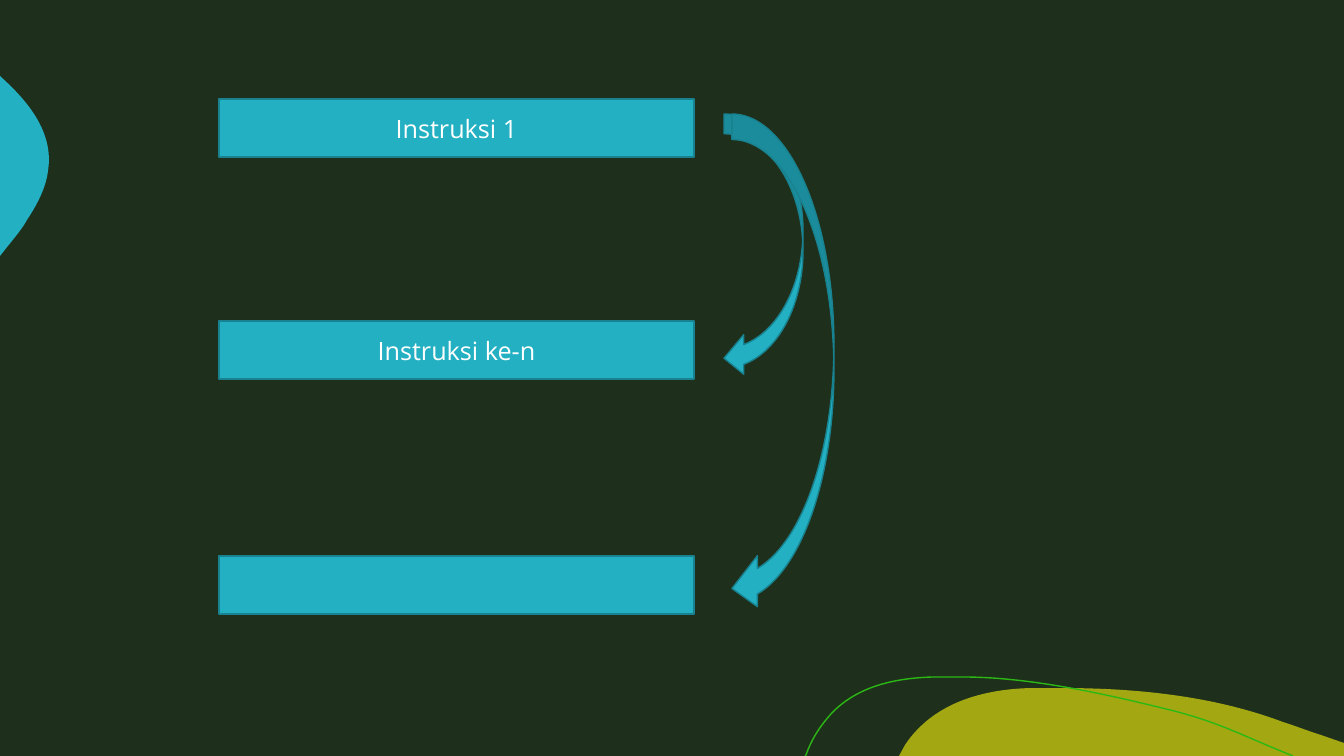
import lxml.etree
import pptx
import pptx.util
import pptx.dml.color
import pptx.enum.shapes
import pptx.enum.text
import pptx.oxml.ns

EMU_PER_PIXEL = 914400 / 100.8
FONT = "Open Sans"
COLOURS = {
    "background": "1E301B",
    "olive": "A3A712",
    "teal": "22B0C2",
    "teal_edge": "198290",
    "green": "2BB814",
    "white": "FFFFFF",
}
OLIVE_HILL = [
    (1062, 688),
    (1137, 688, 1214, 696, 1283, 722),
    (1296, 726, 1308, 731, 1321, 735),
    (1344, 743), (1344, 756), (899, 756), (905, 745),
    (909, 739, 913, 734, 918, 729),
    (947, 699, 990, 689, 1031, 688),
    (1041, 688, 1052, 688, 1062, 688),
]
TEAL_BULGE = [
    (0, 76), (1, 77),
    (30, 103, 54, 134, 48, 171),
    (46, 188, 37, 205, 27, 220),
    (24, 226, 17, 235, 8, 246),
    (0, 256),
]
GREEN_CURVE = [
    (805, 756), (806, 755),
    (812, 738, 821, 725, 831, 714),
    (857, 686, 896, 678, 933, 677),
    (963, 677),
    (1031, 677, 1109, 695, 1162, 708),
    (1217, 721, 1236, 733, 1293, 756),
]


def emu(pixels):
    return pptx.util.Emu(round(pixels * EMU_PER_PIXEL))


def colour(name):
    return pptx.dml.color.RGBColor.from_string(COLOURS[name])


def paint(shape, fill=None, line=None):
    shape.shadow.inherit = False
    if fill:
        shape.fill.solid()
        shape.fill.fore_color.rgb = colour(fill)
    else:
        shape.fill.background()
    if line:
        shape.line.color.rgb = colour(line)
        shape.line.width = pptx.util.Pt(1)
    else:
        shape.line.fill.background()


def bend(shape, segments):
    qn = pptx.oxml.ns.qn
    edges = list(shape.element.iter(qn("a:lnTo")))
    for edge, segment in zip(edges, segments[1:]):
        if len(segment) == 2:
            continue
        curve = lxml.etree.Element(qn("a:cubicBezTo"))
        for x, y in zip(segment[::2], segment[1::2]):
            point = lxml.etree.SubElement(curve, qn("a:pt"))
            point.set("x", str(emu(x) - shape.left))
            point.set("y", str(emu(y) - shape.top))
        edge.getparent().replace(edge, curve)


def add_outline(slide, segments, fill=None, line=None):
    corners = [(emu(segment[-2]), emu(segment[-1])) for segment in segments]
    builder = slide.shapes.build_freeform(*corners[0])
    builder.add_line_segments(corners[1:], close=fill is not None)
    shape = builder.convert_to_shape()
    bend(shape, segments)
    paint(shape, fill, line)


def add_teal_shape(slide, kind, left, top, width, height):
    shape = slide.shapes.add_shape(kind, emu(left), emu(top), emu(width), emu(height))
    paint(shape, "teal", "teal_edge")
    return shape


def add_instruction(slide, top, text):
    rectangle = pptx.enum.shapes.MSO_SHAPE.RECTANGLE
    shape = add_teal_shape(slide, rectangle, 219, top, 475, 58)
    if not text:
        return
    shape.text_frame.vertical_anchor = pptx.enum.text.MSO_ANCHOR.MIDDLE
    paragraph = shape.text_frame.paragraphs[0]
    paragraph.alignment = pptx.enum.text.PP_ALIGN.CENTER
    run = paragraph.add_run()
    run.text = text
    run.font.name = FONT
    run.font.size = pptx.util.Pt(18)
    run.font.color.rgb = colour("white")


def add_jump_arrow(slide, left, top, width, height):
    arrow = pptx.enum.shapes.MSO_SHAPE.CURVED_LEFT_ARROW
    add_teal_shape(slide, arrow, left, top, width, height)


def main():
    presentation = pptx.Presentation()
    presentation.slide_width = emu(1344)
    presentation.slide_height = emu(756)
    slide = presentation.slides.add_slide(presentation.slide_layouts[6])
    slide.background.fill.solid()
    slide.background.fill.fore_color.rgb = colour("background")

    add_outline(slide, OLIVE_HILL, fill="olive")
    add_outline(slide, TEAL_BULGE, fill="teal")
    add_outline(slide, GREEN_CURVE, line="green")

    for top, text in ((99, "Instruksi 1"), (321, "Instruksi ke-n"), (556, "")):
        add_instruction(slide, top, text)

    add_jump_arrow(slide, 724, 114, 79, 264)
    add_jump_arrow(slide, 732, 114, 102, 500)

    presentation.save("out.pptx")


main()
